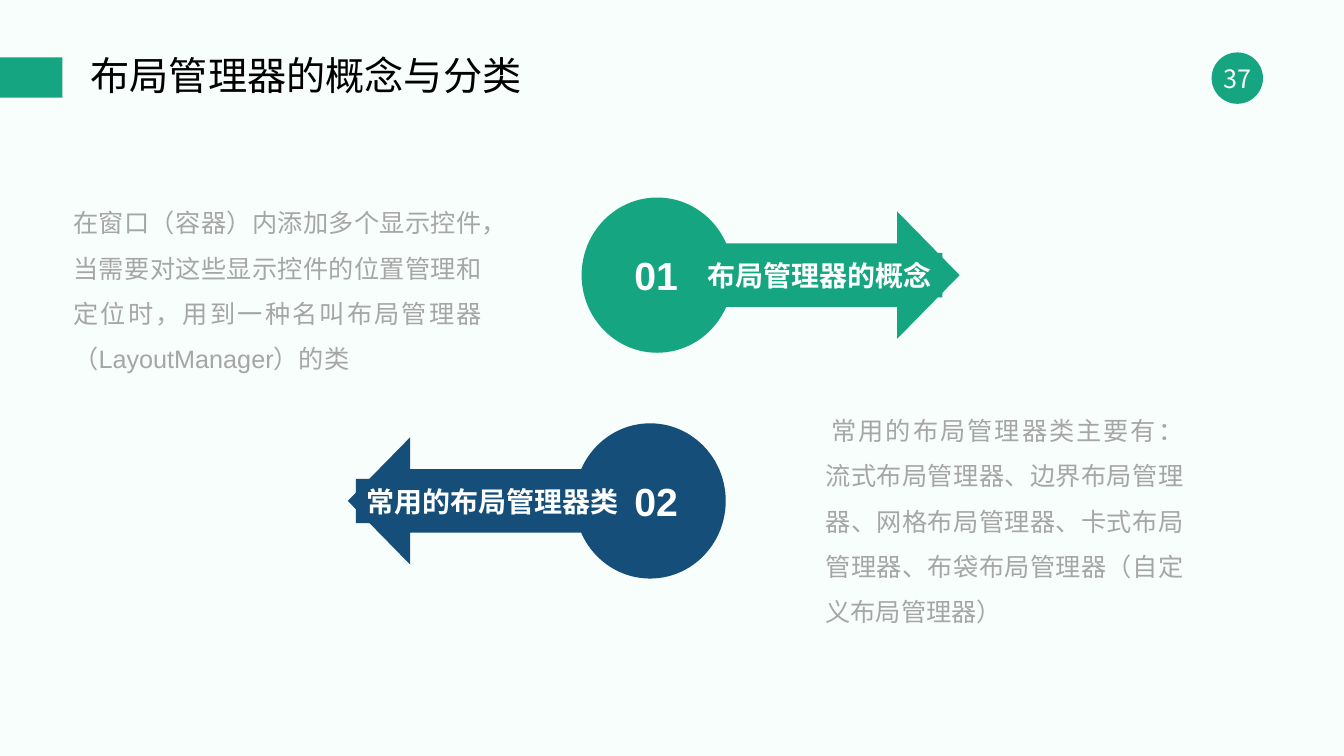
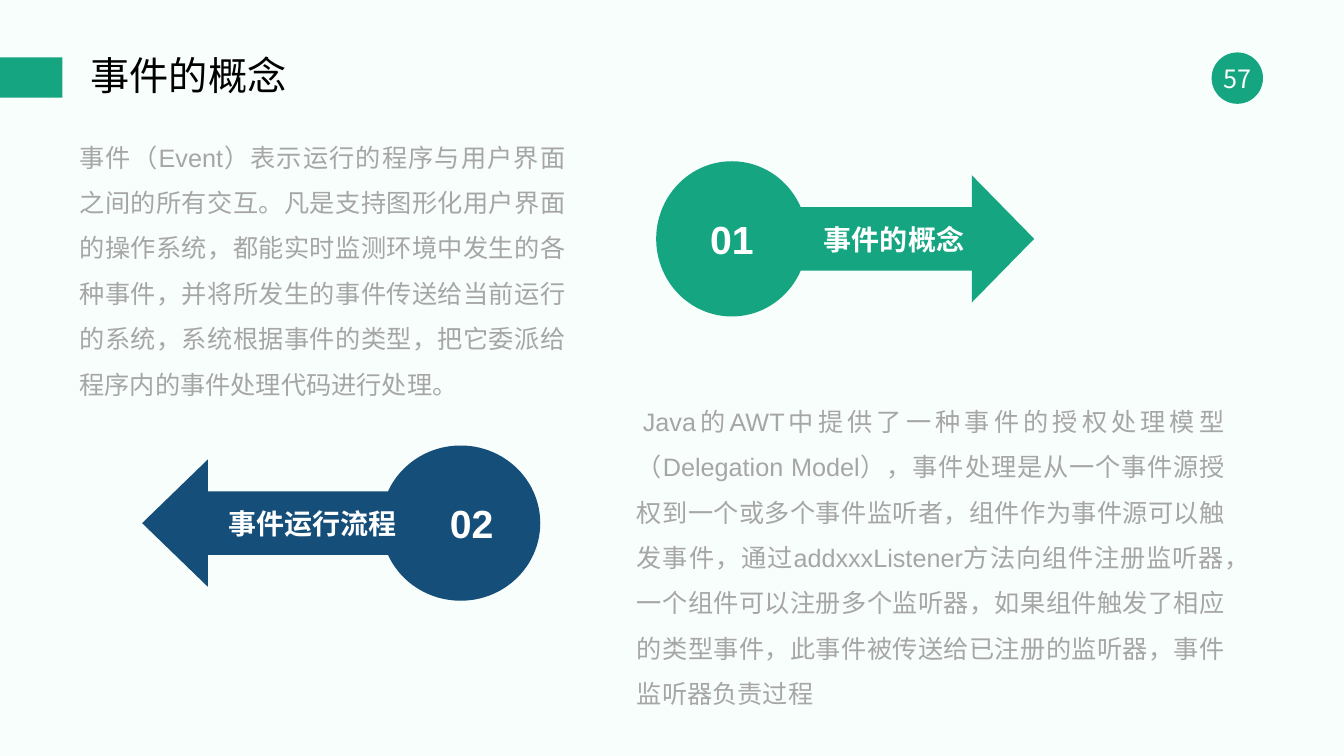
import math

from lxml import etree
from pptx import Presentation
from pptx.dml.color import RGBColor
from pptx.enum.shapes import MSO_SHAPE
from pptx.enum.text import MSO_ANCHOR, MSO_AUTO_SIZE, PP_ALIGN
from pptx.oxml.ns import qn
from pptx.util import Inches, Pt

# Grid of 40 columns by 22.5 rows; both steps are equal
SLIDE_WIDTH, SLIDE_HEIGHT = Inches(13.3333), Inches(7.5)
STEP = SLIDE_WIDTH / 40

RECTANGLE, OVAL = MSO_SHAPE.RECTANGLE, MSO_SHAPE.OVAL
MIDDLE, TOP = MSO_ANCHOR.MIDDLE, MSO_ANCHOR.TOP
LEFT, CENTER, JUSTIFY = PP_ALIGN.LEFT, PP_ALIGN.CENTER, PP_ALIGN.JUSTIFY

BACKGROUND, GREEN, BLUE = "F8FEFC", "15A681", "154E79"
WHITE, BLACK, GREY = "FFFFFF", "000000", "A6A6A6"
CJK_FONT, LATIN_FONT = "Noto Sans CJK SC", "Arial"

# Key-shaped marker: shares of its width (columns) and height (rows)
MARKER_HEIGHT = 4.62
DISC_RADIUS, NECK_HALF, HEAD_HALF, HEAD_START = 0.2, 0.205, 0.41, 0.835
ARC_STEPS = 90

PAGES = [
    {
        "title": "布局管理器的概念与分类",
        "number": "37",
        "texts": [
            ((24.27, 11.76, 11.25, 7.11), 0.06,
             "常用的布局管理器类主要有：流式布局管理器、边界布局管理器、"
             "网格布局管理器、卡式布局管理器、布袋布局管理器（自定义布局管理器）"),
            ((1.89, 5.58, 12.75, 5.73), 0,
             "在窗口（容器）内添加多个显示控件，当需要对这些显示控件的位置管理和定位时，"
             "用到一种名叫布局管理器（LayoutManager）的类"),
        ],
        # left, top, width, label left, number left, label
        "markers": [(17.31, 5.88, 11.25, 20.73, 18.57, "布局管理器的概念"),
                    (10.35, 12.6, 11.25, 10.59, 18.57, "常用的布局管理器类")],
    },
    {
        "title": "事件的概念",
        "number": "57",
        "texts": [
            ((18.66, 11.49, 18.09, 9.84), 0.06,
             "Java的AWT中提供了一种事件的授权处理模型（Delegation Model），"
             "事件处理是从一个事件源授权到一个或多个事件监听者，组件作为事件源可以触发事件，"
             "通过addxxxListener方法向组件注册监听器，一个组件可以注册多个监听器，"
             "如果组件触发了相应的类型事件，此事件被传送给已注册的监听器，事件监听器负责过程"),
            ((2.07, 3.63, 15.06, 8.46), 0,
             "事件（Event）表示运行的程序与用户界面之间的所有交互。"
             "凡是支持图形化用户界面的操作系统，都能实时监测环境中发生的各种事件，"
             "并将所发生的事件传送给当前运行的系统，系统根据事件的类型，"
             "把它委派给程序内的事件处理代码进行处理。"),
        ],
        "markers": [(19.53, 4.8, 11.25, 24.21, 20.82, "事件的概念"),
                    (4.23, 13.26, 11.85, 6.48, 13.08, "事件运行流程")],
    },
]


def color(value):
    return RGBColor.from_string(value)


def grid(*cells):
    return [round(cell * STEP) for cell in cells]


def paint(shape, fill):
    shape.shadow.inherit = False
    shape.fill.solid()
    shape.fill.fore_color.rgb = color(fill)
    shape.line.fill.background()
    return shape


def write(shape, text, size, ink, font=LATIN_FONT, align=LEFT, anchor=MIDDLE,
          bold=False, spacing=1.0, indent=0, wrap=True):
    frame = shape.text_frame
    frame.word_wrap = wrap
    frame.auto_size = MSO_AUTO_SIZE.NONE
    frame.vertical_anchor = anchor
    para = frame.paragraphs[0]
    para.text = text
    para.alignment = align
    para.line_spacing = spacing
    para.space_before = Pt(0)
    style = para.font
    style.size, style.bold, style.name = Pt(size), bold, font
    style.color.rgb = color(ink)
    # East Asian font and first-line indent
    properties = para._p.pPr
    if indent:
        properties.set("marL", "0")
        properties.set("indent", str(Inches(indent)))
    east_asian = etree.SubElement(properties.find(qn("a:defRPr")), qn("a:ea"))
    east_asian.set("typeface", CJK_FONT)


def add_block(page, kind, cells, fill):
    return paint(page.shapes.add_shape(kind, *grid(*cells)), fill)


def add_text(page, cells, text, **style):
    write(page.shapes.add_textbox(*grid(*cells)), text, **style)


def add_key(page, left, top, width, fill, flipped):
    """A disc with an arrow growing out of its side."""
    start = math.asin(NECK_HALF / 0.5)
    sweep = 2 * math.pi - 2 * start
    angles = [start + sweep * step / ARC_STEPS for step in range(ARC_STEPS + 1)]
    outline = [(DISC_RADIUS * (1 + math.cos(angle)), 0.5 + 0.5 * math.sin(angle))
               for angle in angles]
    outline += [(HEAD_START, 0.5 - NECK_HALF), (HEAD_START, 0.5 - HEAD_HALF), (1, 0.5),
                (HEAD_START, 0.5 + HEAD_HALF), (HEAD_START, 0.5 + NECK_HALF)]
    points = [grid(left + width * (1 - across if flipped else across),
                   top + MARKER_HEIGHT * down) for across, down in outline]
    builder = page.shapes.build_freeform(*points[0])
    builder.add_line_segments(points[1:], close=True)
    paint(builder.convert_to_shape(), fill)


def add_marker(page, order, left, top, width, label_left, number_left, label):
    fill = (GREEN, BLUE)[order]
    middle = top + MARKER_HEIGHT / 2
    add_key(page, left, top, width, fill, flipped=order == 1)
    plates = [(label_left, 0.84 * len(label) + 0.6, 1.32, label, 20),
              (number_left, 1.92, 1.71, f"{order + 1:02}", 28)]
    for plate_left, plate_width, height, text, size in plates:
        cells = (plate_left, middle - height / 2, plate_width, height)
        plate = add_block(page, RECTANGLE, cells, fill)
        write(plate, text, size, WHITE, align=CENTER, bold=True, wrap=False)


def dress_layout(deck, layout, page):
    """Background, title place, bar and number badge for every page."""
    background = deck.slide_master.background.fill
    background.solid()
    background.fore_color.rgb = color(BACKGROUND)
    for holder in list(layout.placeholders):
        if holder.placeholder_format.idx == 0:
            holder.left, holder.top, holder.width, holder.height = grid(2.4, 1.56, 22.35, 1.53)
        else:
            holder.element.getparent().remove(holder.element)
    furniture = [(OVAL, (36.06, 1.56, 1.53, 1.53)), (RECTANGLE, (0, 1.71, 1.86, 1.2))]
    for number, (kind, cells) in enumerate(furniture, start=20):
        element = add_block(page, kind, cells, GREEN).element
        element.nvSpPr.cNvPr.id = number
        layout.shapes.element.append(element)


def fill_page(page, content):
    write(page.shapes.title, content["title"], 28, BLACK, font=CJK_FONT, spacing=0.9)
    add_text(page, (36.06, 1.26, 1.53, 2.13), content["number"],
             size=18, ink=WHITE, font=CJK_FONT, align=CENTER)
    for cells, indent, text in content["texts"]:
        add_text(page, cells, text, size=18, ink=GREY, align=JUSTIFY,
                 anchor=TOP, spacing=1.5, indent=indent)
    for order, marker in enumerate(content["markers"]):
        add_marker(page, order, *marker)


def main():
    deck = Presentation()
    deck.slide_width, deck.slide_height = SLIDE_WIDTH, SLIDE_HEIGHT
    layout = deck.slide_layouts[5]
    pages = [deck.slides.add_slide(layout) for _ in PAGES]
    dress_layout(deck, layout, pages[0])
    for page, content in zip(pages, PAGES):
        fill_page(page, content)
    deck.save("out.pptx")


if __name__ == "__main__":
    main()
